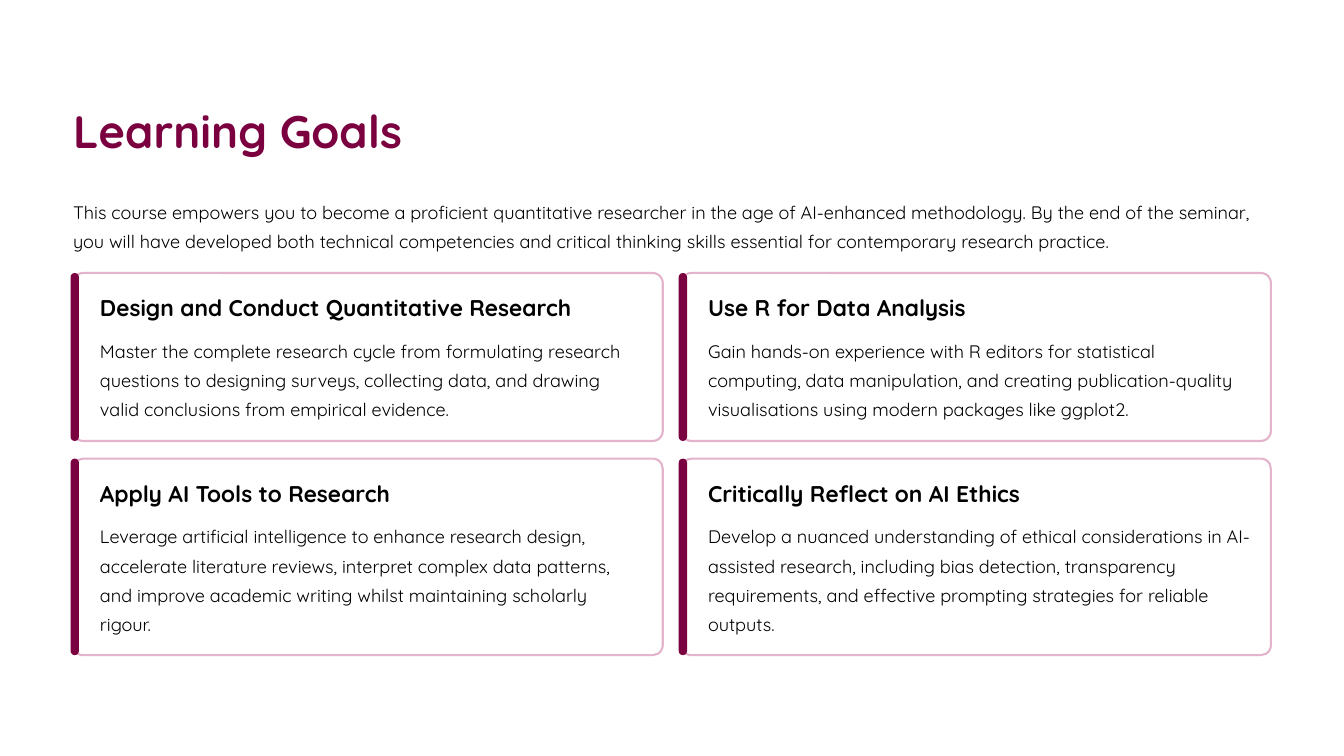
"""Build the Learning Goals slide with four accented cards."""
import pptx
import pptx.dml.color
import pptx.enum.shapes
import pptx.enum.text
import pptx.util
from pptx.util import Inches

TITLE = "Learning Goals"
INTRO = (
    "This course empowers you to become a proficient quantitative researcher in the age of "
    "AI-enhanced methodology. By the end of the seminar, you will have developed both technical "
    "competencies and critical thinking skills essential for contemporary research practice."
)
GOALS = [
    ("Design and Conduct Quantitative Research",
     "Master the complete research cycle from formulating research questions to designing "
     "surveys, collecting data, and drawing valid conclusions from empirical evidence."),
    ("Use R for Data Analysis",
     "Gain hands-on experience with R editors for statistical computing, data manipulation, and "
     "creating publication-quality visualisations using modern packages like ggplot2."),
    ("Apply AI Tools to Research",
     "Leverage artificial intelligence to enhance research design, accelerate literature reviews, "
     "interpret complex data patterns, and improve academic writing whilst maintaining scholarly "
     "rigour."),
    ("Critically Reflect on AI Ethics",
     "Develop a nuanced understanding of ethical considerations in AI-assisted research, including "
     "bias detection, transparency requirements, and effective prompting strategies for reliable "
     "outputs."),
]
FONT = "Quicksand"
WHITE, BLACK, MAROON, ACCENT, PINK = "FFFFFF", "000000", "7A003F", "7B0240", "E4B3CC"
LEFT, CARD_WIDTH, COLUMN_STEP = 0.87, 7.02, 7.24
ROWS = [(3.25, 2.0), (5.46, 2.34)]
CORNER_RADIUS = 0.12
ACCENT_WIDTH, ACCENT_OVERHANG = 0.1, 0.03
TEXT_INSET, HEADING_OFFSET, BODY_OFFSET = 0.32, 0.24, 0.71
BODY_WIDTH, BODY_BOTTOM = 6.46, 0.24


def color(value):
    return pptx.dml.color.RGBColor.from_string(value)


def write(shape, text, size, spacing, ink=BLACK, bold=False, wrap=True):
    frame = shape.text_frame
    frame.text = text
    frame.word_wrap = wrap
    frame.auto_size = pptx.enum.text.MSO_AUTO_SIZE.NONE
    frame.vertical_anchor = pptx.enum.text.MSO_ANCHOR.TOP
    frame.margin_left = frame.margin_right = frame.margin_top = frame.margin_bottom = 0
    paragraph = frame.paragraphs[0]
    paragraph.alignment = pptx.enum.text.PP_ALIGN.LEFT
    paragraph.line_spacing = pptx.util.Pt(spacing)
    font = paragraph.runs[0].font
    font.name, font.size, font.bold = FONT, pptx.util.Pt(size), bold
    font.color.rgb = color(ink)


def add_text(slide, box, *style, **options):
    shape = slide.shapes.add_textbox(*map(Inches, box))
    write(shape, *style, **options)


def add_rounded(slide, box, radius, fill, line=None):
    shape = slide.shapes.add_shape(
        pptx.enum.shapes.MSO_SHAPE.ROUNDED_RECTANGLE, *map(Inches, box))
    shape.adjustments[0] = round(radius / min(box[2:]), 3)
    shape.shadow.inherit = False
    shape.fill.solid()
    shape.fill.fore_color.rgb = color(fill)
    if line:
        shape.line.color.rgb = color(line)
        shape.line.width = pptx.util.Pt(1.8)
    else:
        shape.line.fill.background()


def add_card(slide, left, top, height, heading, body):
    add_rounded(slide, (left, top, CARD_WIDTH, height), CORNER_RADIUS, WHITE, PINK)
    add_rounded(slide, (left - ACCENT_OVERHANG, top, ACCENT_WIDTH, height),
                ACCENT_WIDTH / 2, ACCENT)
    text_left = left + TEXT_INSET
    add_text(slide, (text_left, top + HEADING_OFFSET, BODY_WIDTH, 0.34),
             heading, 19.5, 24, bold=True, wrap=False)
    body_height = height - BODY_OFFSET - BODY_BOTTOM
    add_text(slide, (text_left, top + BODY_OFFSET, BODY_WIDTH, body_height), body, 15.5, 25)


def main():
    presentation = pptx.Presentation()
    presentation.slide_width, presentation.slide_height = Inches(16), Inches(9)
    slide = presentation.slides.add_slide(presentation.slide_layouts[5])
    slide.background.fill.solid()
    slide.background.fill.fore_color.rgb = color(WHITE)

    title = slide.shapes.title
    title.left, title.top = Inches(LEFT), Inches(1.2)
    title.width, title.height = Inches(5.43), Inches(0.68)
    write(title, TITLE, 39, 48.5, ink=MAROON, bold=True, wrap=False)
    add_text(slide, (LEFT, 2.31, 14.26, 0.69), INTRO, 15.5, 25)

    for index, (heading, body) in enumerate(GOALS):
        row, column = divmod(index, 2)
        top, height = ROWS[row]
        add_card(slide, LEFT + column * COLUMN_STEP, top, height, heading, body)

    presentation.save("out.pptx")


if __name__ == "__main__":
    main()
